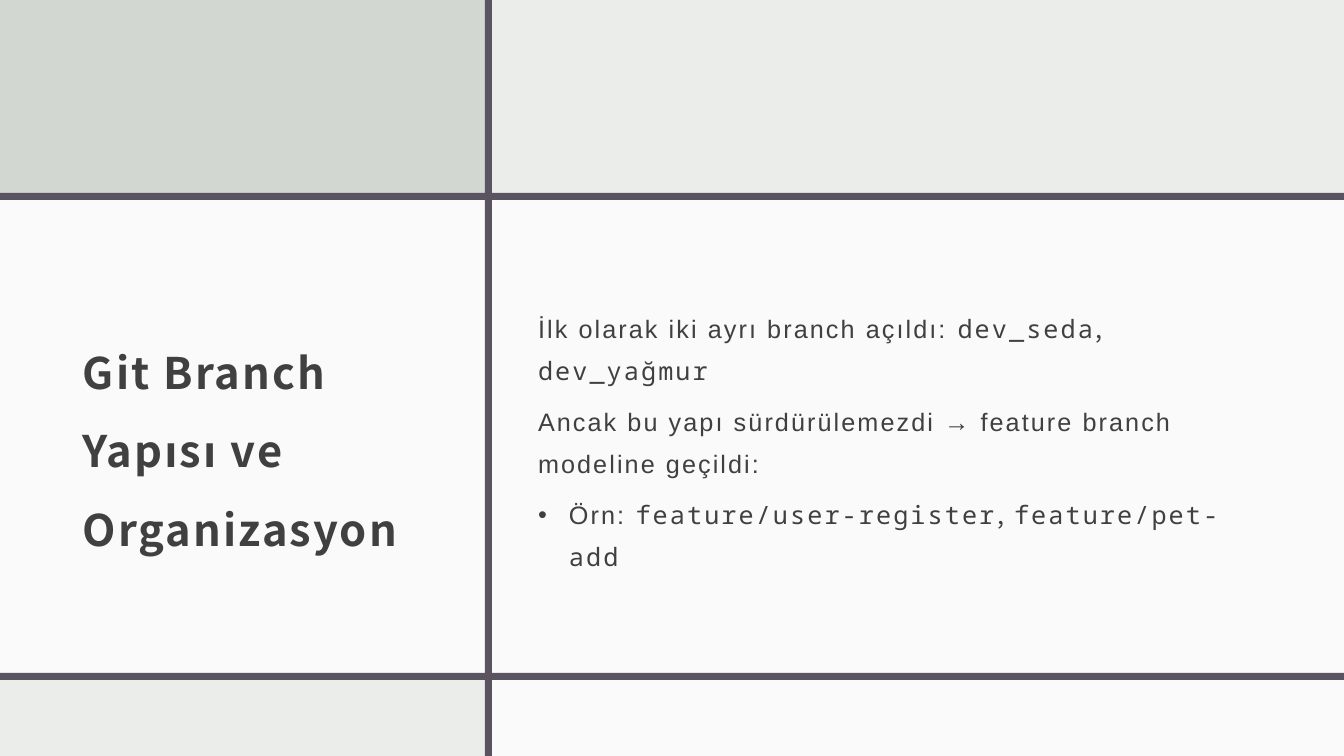
"""Builds the slide on Git branch structure and organisation."""
from lxml import etree
from pptx import Presentation
from pptx.dml.color import RGBColor
from pptx.enum.shapes import MSO_SHAPE
from pptx.enum.text import MSO_ANCHOR, PP_ALIGN
from pptx.oxml.ns import qn
from pptx.util import Emu, Pt

RECT = MSO_SHAPE.RECTANGLE
MIDDLE = MSO_ANCHOR.MIDDLE
LEFT = PP_ALIGN.LEFT
PX = 914400 / 100.8
W, H = 1344, 756
COLORS = {"bg": "EBEDEB", "sage": "D2D7D2", "bar": "595460",
          "white": "FFFFFF", "text": "404040"}
SANS, CJK, MONO = "Arial", "Noto Sans CJK JP", "Noto Sans Mono"
BAR = 7
COL, ROW1, ROW2 = 485, 193, 673

PANELS = [
    ((0, ROW1, W, ROW2 + BAR - ROW1), "white", 75),
    ((0, 0, COL + BAR // 2, ROW1 + BAR // 2), "sage", 100),
    ((COL, ROW2 + BAR, W - COL, H - ROW2 - BAR), "white", 75),
    ((0, ROW1, W, BAR), "bar", 100),
    ((0, ROW2, W, BAR), "bar", 100),
    ((COL, 0, BAR, H), "bar", 100),
]
TITLE = [([("Git Branch Yapısı ve Organizasyon", CJK)], False)]
BODY = [
    ([("İlk olarak iki ayrı branch açıldı: ", SANS), ("dev_seda", MONO),
      (", ", CJK), ("dev_yağmur", MONO)], False),
    ([("Ancak bu yapı sürdürülemezdi → feature branch modeline geçildi:", SANS)], False),
    ([("Örn: ", SANS), ("feature/user-register", MONO),
      (", ", CJK), ("feature/pet-add", MONO)], True),
]


def px(n):
    return Emu(round(n * PX))


def add_panel(s, box, color, opacity):
    sp = s.shapes.add_shape(RECT, *map(px, box))
    sp.shadow.inherit = False
    sp.fill.solid()
    sp.fill.fore_color.rgb = RGBColor.from_string(COLORS[color])
    sp.line.fill.background()
    if opacity < 100:
        clr = sp.fill._xPr.find(qn("a:solidFill"))[0]
        etree.SubElement(clr, qn("a:alpha"), val=str(opacity * 1000))


def add_bullet(p, indent):
    pPr = p._p.get_or_add_pPr()
    pPr.set("marL", str(px(indent)))
    pPr.set("indent", str(-px(indent)))
    etree.SubElement(pPr, qn("a:buFont"), typeface=SANS)
    etree.SubElement(pPr, qn("a:buChar"), char="•")


def add_text(s, box, insets, paragraphs, size, spacing, after=0, bold=False):
    tf = s.shapes.add_textbox(*map(px, box)).text_frame
    tf.word_wrap = True
    tf.vertical_anchor = MIDDLE
    tf.margin_left, tf.margin_top, tf.margin_right, tf.margin_bottom = map(px, insets)
    for i, (runs, bullet) in enumerate(paragraphs):
        p = tf.add_paragraph() if i else tf.paragraphs[0]
        p.alignment = LEFT
        p.line_spacing = spacing
        p.space_after = Pt(after)
        if bullet:
            add_bullet(p, 31)
        for text, font in runs:
            r = p.add_run()
            r.text = text
            r.font.name = font
            r.font.size = Pt(size)
            r.font.bold = bold
            r.font.color.rgb = RGBColor.from_string(COLORS["text"])
            rPr = r.font._element
            rPr.set("spc", "150")
            for tag in ("a:ea", "a:cs"):
                etree.SubElement(rPr, qn(tag), typeface=font)


def main():
    prs = Presentation()
    prs.slide_width, prs.slide_height = px(W), px(H)
    s = prs.slides.add_slide(prs.slide_layouts[6])
    s.background.fill.solid()
    s.background.fill.fore_color.rgb = RGBColor.from_string(COLORS["bg"])
    for panel in PANELS:
        add_panel(s, *panel)
    add_text(s, (71, 236, 376, 401), (12, 12, 12, 10), TITLE, 31, 1.5, bold=True)
    add_text(s, (528, 236, 745, 401), (10, 5, 10, 5), BODY, 18, 1.4, after=6)
    prs.save("out.pptx")


if __name__ == "__main__":
    main()
